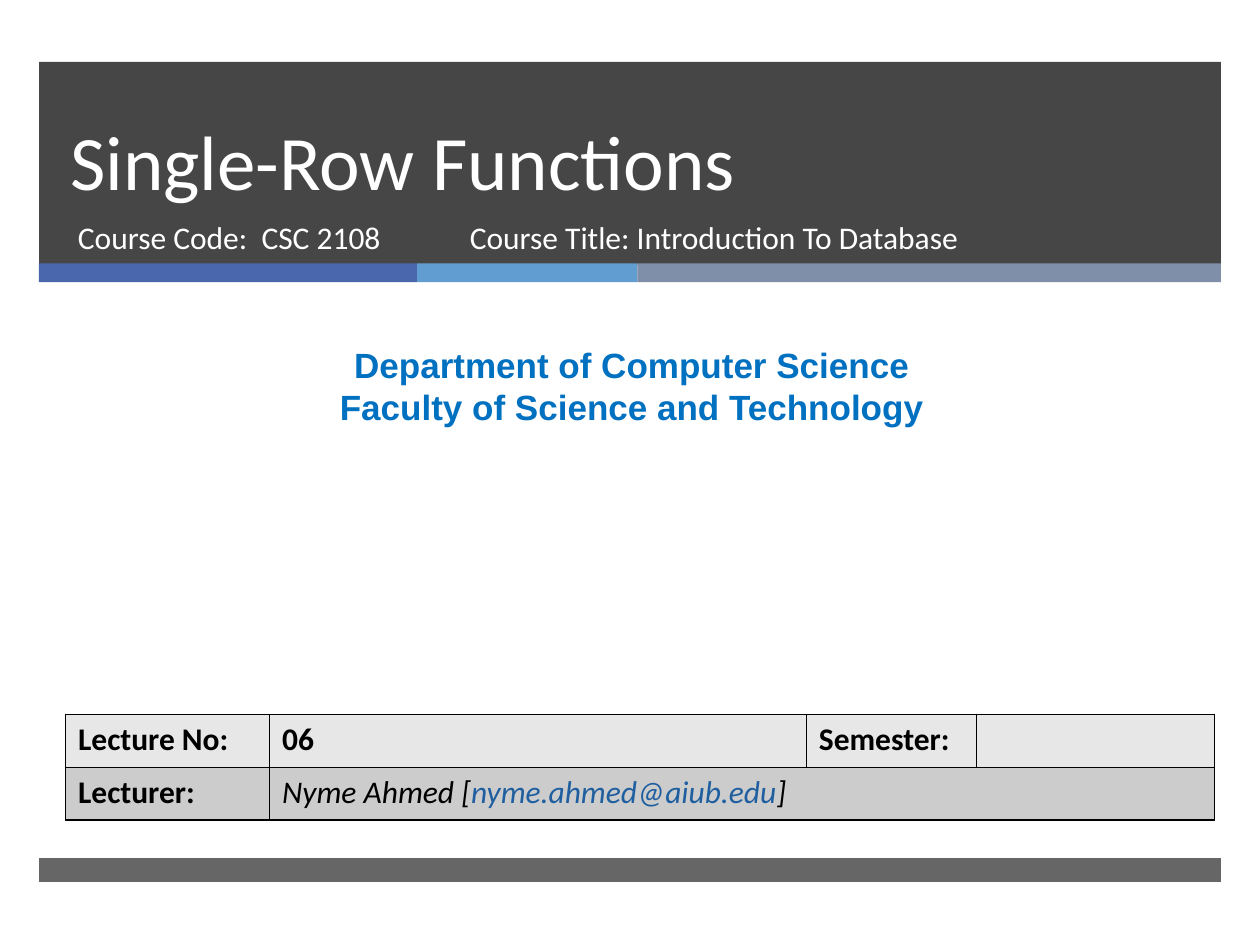
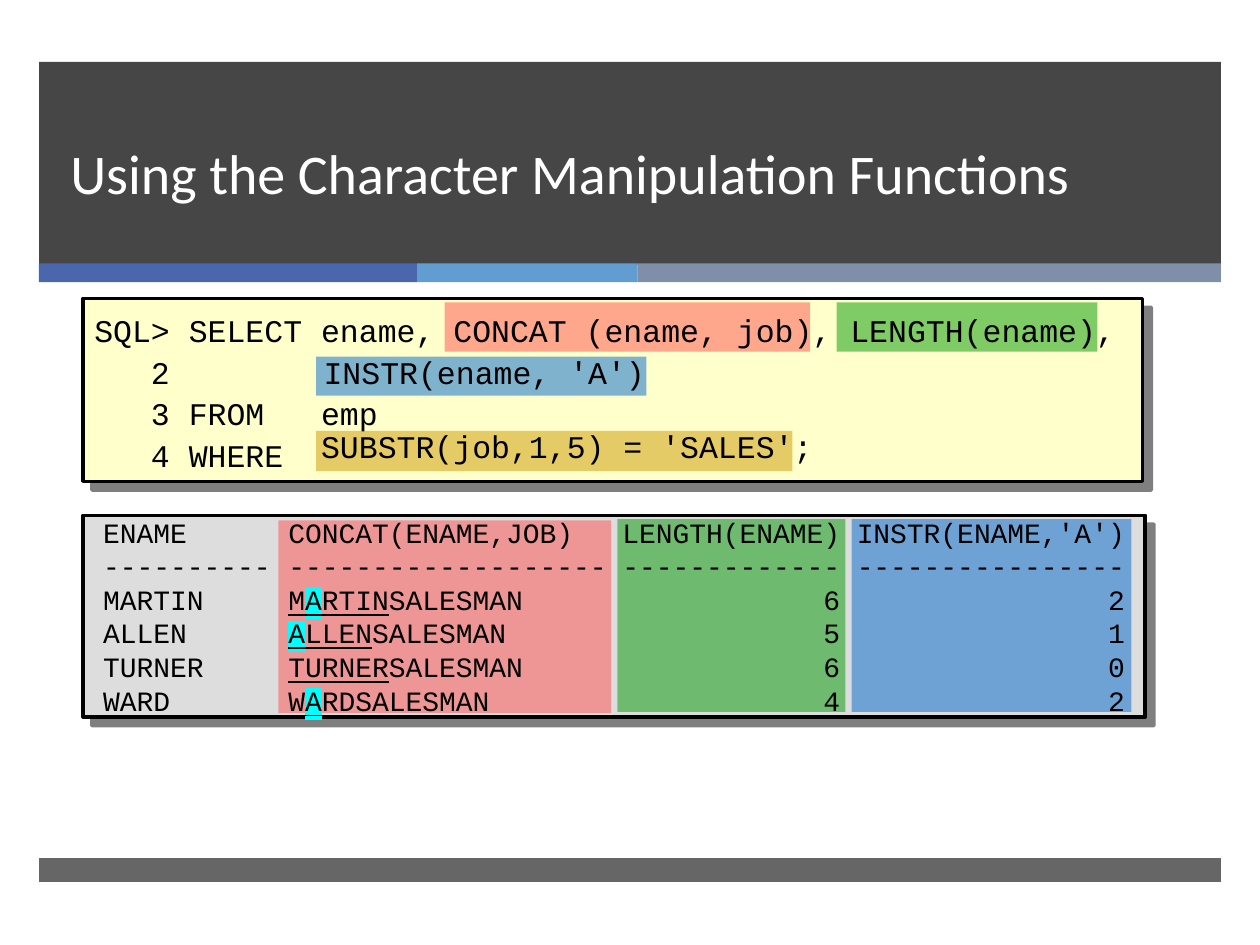
from dataclasses import dataclass, replace
from typing import Optional

from lxml.etree import SubElement
from pptx import Presentation
from pptx.dml.color import RGBColor
from pptx.enum.shapes import MSO_SHAPE
from pptx.enum.text import MSO_ANCHOR, PP_ALIGN
from pptx.oxml.ns import qn
from pptx.util import Emu, Pt

PX = 9144  # 100 px to the inch

WHITE = RGBColor(0xFF, 0xFF, 0xFF)
BLACK = RGBColor(0x00, 0x00, 0x00)
CHARCOAL = RGBColor(0x26, 0x26, 0x26)
INDIGO = RGBColor(0x4A, 0x66, 0xAC)
SKY = RGBColor(0x62, 0x9D, 0xD1)
SLATE = RGBColor(0x7F, 0x8F, 0xA9)
DEPARTMENT_BLUE = RGBColor(0x00, 0x70, 0xC0)
EMAIL_BLUE = RGBColor(0x1F, 0x5F, 0xA0)
ROW_LIGHT = RGBColor(0xE7, 0xE7, 0xE7)
ROW_DARK = RGBColor(0xCC, 0xCC, 0xCC)
CODE_CREAM = RGBColor(0xFF, 0xFF, 0xCC)
RESULT_GRAY = RGBColor(0xDD, 0xDD, 0xDD)
CONCAT_RED = RGBColor(0xFF, 0x50, 0x50)
LENGTH_GREEN = RGBColor(0x00, 0x99, 0x00)
INSTR_BLUE = RGBColor(0x00, 0x66, 0xCC)
SUBSTR_GOLD = RGBColor(0xCC, 0x99, 0x00)
CYAN = RGBColor(0x00, 0xFF, 0xFF)


@dataclass(frozen=True)
class Box:
    left: int
    top: int
    width: int
    height: int

    def emu(self) -> tuple:
        return tuple(px(v) for v in (self.left, self.top, self.width, self.height))


@dataclass(frozen=True)
class Band:
    box: Box
    color: RGBColor
    alpha: int = 100


@dataclass(frozen=True)
class Style:
    size: int
    font: str = "Calibri"
    color: RGBColor = BLACK
    bold: bool = False
    italic: bool = False
    underline: bool = False
    highlight: Optional[RGBColor] = None


@dataclass(frozen=True)
class Layout:
    align: PP_ALIGN = PP_ALIGN.LEFT
    anchor: MSO_ANCHOR = MSO_ANCHOR.TOP
    spacing: Optional[float] = None  # points
    wrap: bool = True
    tabs: tuple = ()  # (px, "l" or "r")


@dataclass(frozen=True)
class Span:
    text: str
    style: Style


# Shared look
THEME_BANDS = (
    Band(Box(31, 49, 938, 161), CHARCOAL, 85),
    Band(Box(31, 209, 300, 15), INDIGO),
    Band(Box(331, 209, 175, 15), SKY),
    Band(Box(506, 209, 463, 15), SLATE),
    Band(Box(31, 681, 938, 19), CHARCOAL, 70),
)
TITLE_BOX = Box(46, 49, 854, 119)
TITLE_LAYOUT = Layout(anchor=MSO_ANCHOR.BOTTOM, spacing=46)
COURSE = Style(18, color=WHITE)
SQL = Style(18, "Courier New")
RESULT = Style(16, "Courier New")
LABEL = Style(18, bold=True)
LECTURER = Style(18, italic=True)


def px(length: int) -> Emu:
    return Emu(length * PX)


def add_color(parent, color: RGBColor):
    return SubElement(parent, qn("a:srgbClr"), val=str(color))


def add_band(slide, band: Band):
    shape = slide.shapes.add_shape(MSO_SHAPE.RECTANGLE, *band.box.emu())
    shape.shadow.inherit = False
    shape.fill.solid()
    shape.fill.fore_color.rgb = band.color
    shape.line.fill.background()
    if band.alpha < 100:
        color = shape.fill._xPr.find(qn("a:solidFill")).find(qn("a:srgbClr"))
        SubElement(color, qn("a:alpha"), val=str(band.alpha * 1000))
    return shape


def add_panel(slide, band: Band) -> None:
    """Outlined panel with a hard shadow to the lower right."""
    panel = add_band(slide, band)
    panel.line.color.rgb = BLACK
    panel.line.width = Pt(2)
    effects = panel._element.spPr.find(qn("a:effectLst"))
    shadow = SubElement(effects, qn("a:outerShdw"), blurRad="0", dist=str(Pt(7.1)),
                        dir=str(45 * 60000), algn="ctr", rotWithShape="0")
    SubElement(add_color(shadow, BLACK), qn("a:alpha"), val="50000")


def add_span(paragraph, span: Span) -> None:
    run = paragraph.add_run()
    run.text = span.text
    font, style = run.font, span.style
    font.size = Pt(style.size)
    font.name = style.font
    font.color.rgb = style.color
    font.bold = style.bold
    font.italic = style.italic
    font.underline = style.underline
    if style.highlight is not None:
        properties = run._r.get_or_add_rPr()
        marker = SubElement(properties, qn("a:highlight"))
        add_color(marker, style.highlight)
        properties.find(qn("a:solidFill")).addnext(marker)


def fill_frame(frame, lines: list, layout: Layout) -> None:
    for index, spans in enumerate(lines):
        paragraph = frame.add_paragraph() if index else frame.paragraphs[0]
        if layout.tabs:
            stops = SubElement(paragraph._p.get_or_add_pPr(), qn("a:tabLst"))
            for position, side in layout.tabs:
                SubElement(stops, qn("a:tab"), pos=str(px(position)), algn=side)
        paragraph.alignment = layout.align
        if layout.spacing:
            paragraph.line_spacing = Pt(layout.spacing)
        for span in spans:
            add_span(paragraph, span)


def add_text(slide, box: Box, lines: list, layout: Layout = Layout()) -> None:
    frame = slide.shapes.add_textbox(*box.emu()).text_frame
    frame.word_wrap = layout.wrap
    frame.vertical_anchor = layout.anchor
    fill_frame(frame, lines, layout)


def plain(style: Style, *texts: str) -> list:
    return [[Span(text, style)] for text in texts]


def start_slide(deck, title: str, size: int):
    slide = deck.slides.add_slide(deck.slide_layouts[6])
    for band in THEME_BANDS:
        add_band(slide, band)
    add_text(slide, TITLE_BOX, plain(Style(size, color=WHITE), title), TITLE_LAYOUT)
    return slide


def add_borders(cell) -> None:
    properties = cell._tc.get_or_add_tcPr()
    for position, side in enumerate(("a:lnL", "a:lnR", "a:lnT", "a:lnB")):
        border = SubElement(properties, qn(side), w=str(Pt(1)))
        add_color(SubElement(border, qn("a:solidFill")), BLACK)
        properties.insert(position, border)


def add_lecture_table(slide) -> None:
    widths, row_height = (162, 426, 135, 189), 42
    rows = (
        (ROW_LIGHT, ([Span("Lecture No:", LABEL)], [Span("06", LABEL)],
                     [Span("Semester:", LABEL)], [])),
        (ROW_DARK, ([Span("Lecturer:", LABEL)],
                    [Span("Nyme Ahmed [", LECTURER),
                     Span("nyme.ahmed@aiub.edu", replace(LECTURER, color=EMAIL_BLUE)),
                     Span("]", LECTURER)], [], [])),
    )
    box = Box(52, 567, sum(widths), row_height * len(rows))
    table = slide.shapes.add_table(len(rows), len(widths), *box.emu()).table
    for column, width in zip(table.columns, widths):
        column.width = px(width)
    for row_index, (color, entries) in enumerate(rows):
        table.rows[row_index].height = px(row_height)
        for column_index, spans in enumerate(entries):
            cell = table.cell(row_index, column_index)
            cell.fill.solid()
            cell.fill.fore_color.rgb = color
            add_borders(cell)
            fill_frame(cell.text_frame, [spans], Layout())
    table.cell(1, 1).merge(table.cell(1, 3))


def employee_line(name: str) -> list:
    """One result row: the joined name, its length and the place of its first A."""
    before, first_a, after = name.partition("A")
    joined = replace(RESULT, underline=True)
    spans = (
        Span(f"{name}\t", RESULT),
        Span(before, joined),
        Span(first_a, replace(joined, highlight=CYAN)),
        Span(after, joined),
        Span(f"SALESMAN\t{len(name)}\t{name.find('A') + 1}", RESULT),
    )
    return [span for span in spans if span.text]


def build_cover(deck) -> None:
    slide = start_slide(deck, "Single-Row Functions", 44)
    add_text(slide, Box(52, 168, 305, 53), plain(COURSE, "Course Code:  CSC 2108"))
    add_text(slide, Box(363, 168, 455, 53),
             plain(COURSE, "Course Title: Introduction To Database"))
    add_text(slide, Box(8, 268, 987, 77),
             plain(Style(20, "Arial", DEPARTMENT_BLUE, bold=True),
                   "Department of Computer Science",
                   "Faculty of Science and Technology"),
             Layout(PP_ALIGN.CENTER, spacing=24))
    add_lecture_table(slide)


def build_functions(deck) -> None:
    slide = start_slide(deck, "Using the Character Manipulation Functions", 32)

    # Panels, then each call tinted like its result column
    add_panel(slide, Band(Box(66, 409, 843, 160), RESULT_GRAY))
    add_panel(slide, Band(Box(66, 237, 841, 145), CODE_CREAM))
    for color, call, column in (
        (CONCAT_RED, Box(353, 240, 290, 39), Box(221, 413, 264, 153)),
        (LENGTH_GREEN, Box(664, 240, 207, 39), Box(490, 412, 181, 153)),
        (INSTR_BLUE, Box(251, 283, 262, 31), Box(676, 412, 222, 153)),
    ):
        add_band(slide, Band(call, color, 50))
        add_band(slide, Band(column, color, 50))

    # Query, in a box wide enough for its longest line
    add_text(slide, Box(65, 236, 850, 148),
             plain(SQL, "SQL> SELECT ename, CONCAT (ename, job), LENGTH(ename),",
                   "   2 \tINSTR(ename, 'A')",
                   "   3 FROM   emp",
                   "   4 WHERE"),
             Layout(anchor=MSO_ANCHOR.MIDDLE, spacing=23.76, tabs=((182, "l"),)))
    add_band(slide, Band(Box(251, 342, 378, 32), SUBSTR_GOLD, 50))
    add_text(slide, Box(245, 331, 410, 46), plain(SQL, "SUBSTR(job,1,5) = 'SALES';"),
             Layout(spacing=24, wrap=False))

    # Query result
    headings = ("ENAME", "CONCAT(ENAME,JOB)", "LENGTH(ENAME)", "INSTR(ENAME,'A')")
    rules = ("-" * width for width in (10, 19, 13, 16))
    lines = plain(RESULT, "\t".join(headings), "\t".join(rules))
    lines += [employee_line(name) for name in ("MARTIN", "ALLEN", "TURNER", "WARD")]
    add_text(slide, Box(72, 404, 837, 170), lines,
             Layout(spacing=19.2, tabs=((147, "l"), (585, "r"), (811, "r"))))


def main() -> None:
    deck = Presentation()
    deck.slide_width, deck.slide_height = px(1000), px(750)
    build_cover(deck)
    build_functions(deck)
    deck.save("out.pptx")


if __name__ == "__main__":
    main()
